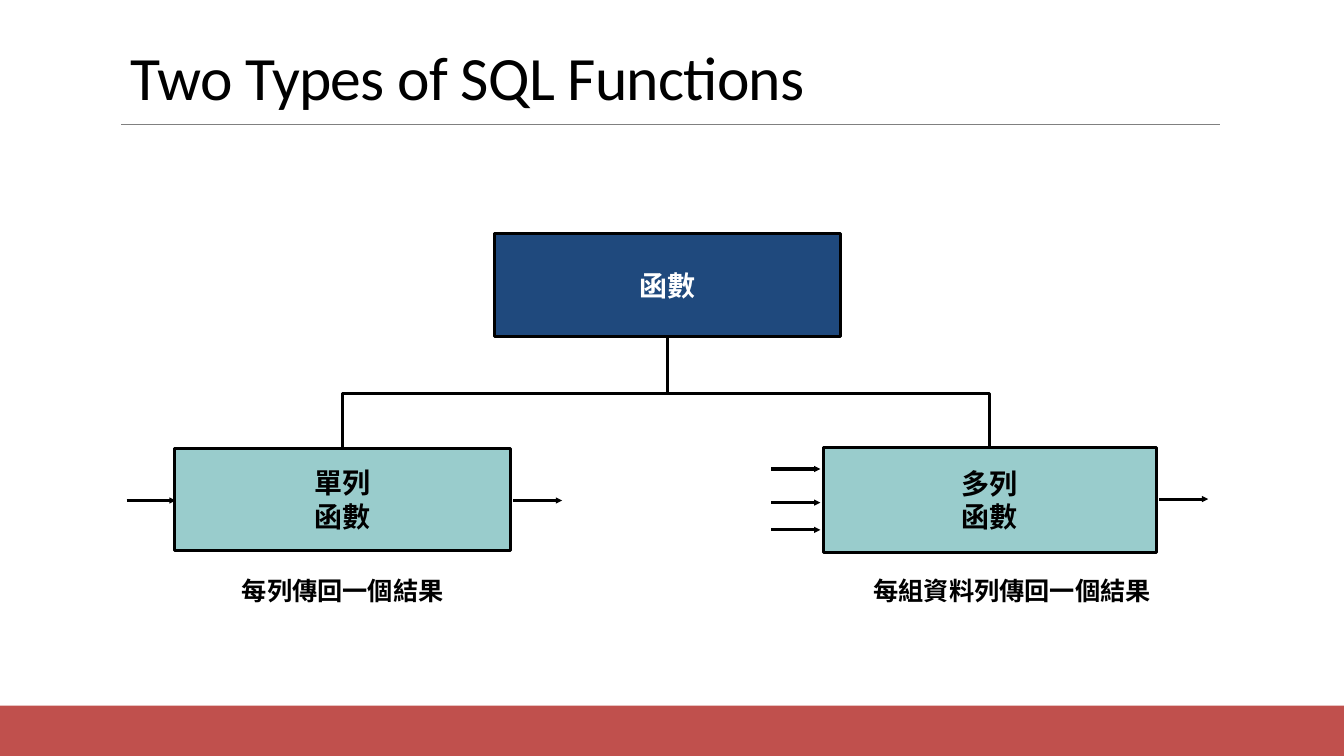
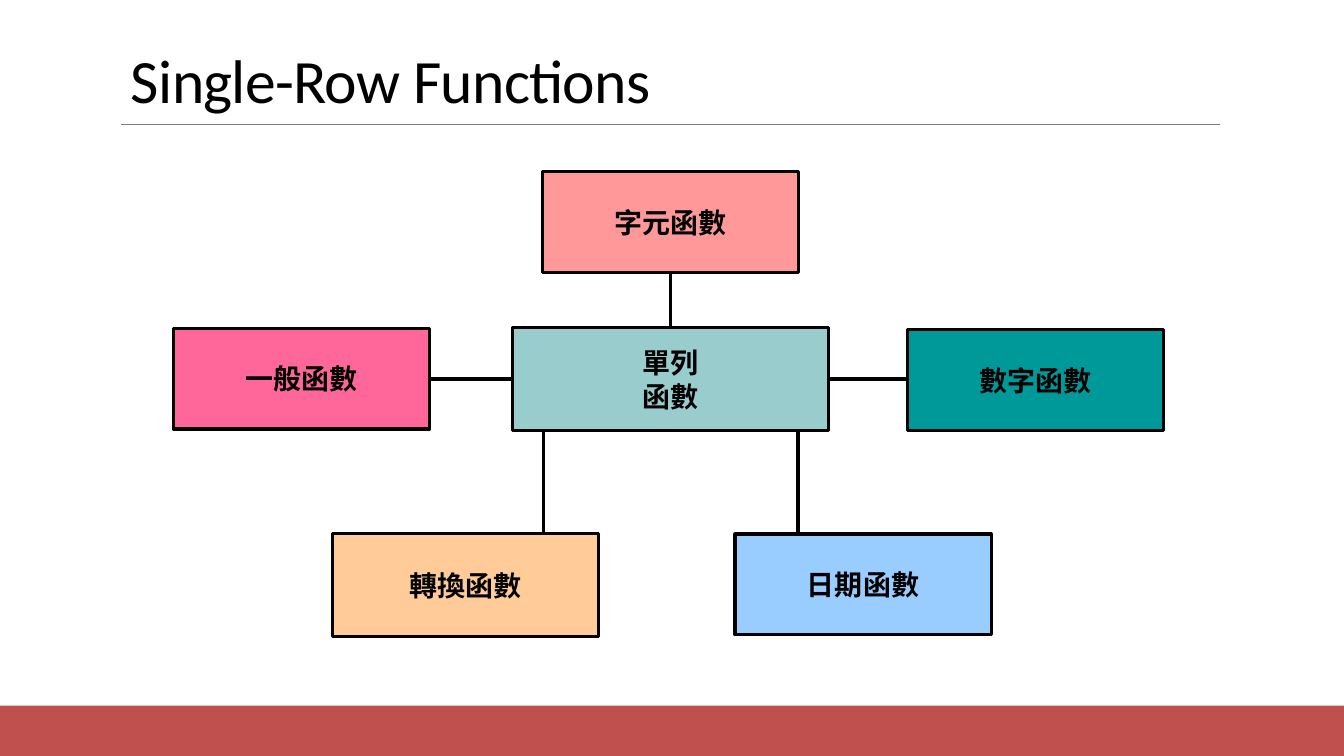
from dataclasses import dataclass
from typing import NamedTuple

from lxml.etree import SubElement
from pptx import Presentation
from pptx.dml.color import RGBColor as RGB
from pptx.enum.shapes import MSO_CONNECTOR as CONN, MSO_SHAPE as SHAPE
from pptx.enum.text import MSO_ANCHOR as ANCHOR, PP_ALIGN as ALIGN
from pptx.oxml.ns import qn
from pptx.util import Pt


@dataclass(frozen=True)
class Theme:
    latin: str = "Calibri"
    cjk: str = "Noto Sans CJK SC"
    title_size: int = 44
    node_size: int = 20
    caption_size: int = 18
    stroke: float = 2.25
    hairline: float = 0.5
    ink: str = "000000"
    white: str = "FFFFFF"
    rule: str = "808080"
    band: str = "C0504D"
    root: str = "1F497D"
    single: str = "99CCCC"
    character: str = "FF9999"
    general: str = "FF6699"
    number: str = "009999"
    conversion: str = "FFCC99"
    date: str = "99CCFF"


T = Theme()


class Box(NamedTuple):
    x: float
    y: float
    w: float
    h: float

    @property
    def right(self):
        return self.x + self.w

    @property
    def bottom(self):
        return self.y + self.h

    @property
    def cx(self):
        return self.x + self.w / 2

    @property
    def cy(self):
        return self.y + self.h / 2

    def inner(self, dx, dy, w, h):
        return Box(self.x + dx, self.y + dy, w, h)

    def lengths(self):
        return [Pt(v) for v in self]


PAGE = Box(0, 0, 960, 540)
CONTENT = Box(86, 100, 792, 380)


def write(sp, text, size, color=T.ink, font=T.cjk, bold=True,
          align=ALIGN.CENTER, anchor=ANCHOR.MIDDLE, line_spacing=None, tracking=None):
    tf = sp.text_frame
    tf.word_wrap = True
    tf.vertical_anchor = anchor
    for i, line in enumerate(text.split("\n")):
        p = tf.add_paragraph() if i else tf.paragraphs[0]
        p.text = line
        p.alignment = align
        p.line_spacing = line_spacing
        p.font.size = Pt(size)
        p.font.bold = bold
        p.font.color.rgb = RGB.from_string(color)
        p.font.name = font
        props = p._p.get_or_add_pPr().find(qn("a:defRPr"))
        SubElement(props, qn("a:ea")).set("typeface", T.cjk)
        if tracking is not None:
            props.set("spc", str(tracking))


def add_rect(s, box, fill, line=None):
    sp = s.shapes.add_shape(SHAPE.RECTANGLE, *box.lengths())
    sp.shadow.inherit = False
    sp.fill.solid()
    sp.fill.fore_color.rgb = RGB.from_string(fill)
    if line:
        sp.line.color.rgb = RGB.from_string(line)
        sp.line.width = Pt(T.stroke)
    else:
        sp.line.fill.background()
    return sp


def add_node(s, box, text, fill, color=T.ink):
    write(add_rect(s, box, fill, T.ink), text, T.node_size, color)


def add_line(s, x1, y1, x2, y2, color=T.ink, width=T.stroke, arrow=False):
    cn = s.shapes.add_connector(CONN.STRAIGHT, Pt(x1), Pt(y1), Pt(x2), Pt(y2))
    cn.line.color.rgb = RGB.from_string(color)
    cn.line.width = Pt(width)
    if arrow:
        ln = cn._element.spPr.find(qn("a:ln"))
        SubElement(ln, qn("a:tailEnd"), {"type": "triangle", "w": "sm", "len": "sm"})
    SubElement(cn._element.spPr, qn("a:effectLst"))


def add_bracket(s, left, right, top, bottom):
    fb = s.shapes.build_freeform(Pt(left), Pt(bottom))
    fb.add_line_segments([(Pt(left), Pt(top)), (Pt(right), Pt(top)),
                          (Pt(right), Pt(bottom))], close=False)
    sp = fb.convert_to_shape()
    sp.shadow.inherit = False
    sp.fill.background()
    sp.line.color.rgb = RGB.from_string(T.ink)
    sp.line.width = Pt(T.stroke)


def add_frame(prs, title, title_box):
    s = prs.slides.add_slide(prs.slide_layouts[6])
    add_rect(s, PAGE.inner(0, 504, PAGE.w, 36), T.band)
    add_line(s, 86.5, 88.5, 871.5, 88.5, T.rule, T.hairline)
    tb = s.shapes.add_textbox(*title_box.lengths())
    write(tb, title, T.title_size, font=T.latin, bold=False, align=ALIGN.LEFT,
          anchor=ANCHOR.BOTTOM, line_spacing=0.85, tracking=-50)
    return s


def add_function_type(s, box, name, caption, caption_box, inputs, gap):
    reach = 35
    add_node(s, box, name, T.single)
    for dy in inputs:
        y = box.y + dy
        add_line(s, box.x - gap - reach, y, box.x - gap, y, arrow=True)
    y = box.y + 37
    add_line(s, box.right + 2, y, box.right + 2 + reach, y, arrow=True)
    tb = s.shapes.add_textbox(*caption_box.lengths())
    write(tb, caption, T.caption_size)


def add_type_tree(s, area):
    root = area.inner(267.5, 67, 247, 73.5)
    single = area.inner(38.5, 220.5, 240, 72.5)
    multi = area.inner(502, 219.5, 238, 75)
    bus = area.y + 181
    add_line(s, root.cx, bus, root.cx, root.bottom)
    add_bracket(s, single.cx, multi.cx, bus, multi.y)
    add_function_type(s, single, "單列\n函數", "每列傳回一個結果",
                      area.inner(-4, 302.5, 325.5, 38), [37], -1)
    add_function_type(s, multi, "多列\n函數", "每組資料列傳回一個結果",
                      area.inner(439, 302.5, 396, 38), [15.5, 39.5, 59], 2)
    add_node(s, root, "函數", T.root, T.white)


def add_function_map(s, area):
    hub = area.inner(280, 134, 226, 73.5)
    character = area.inner(301.5, 22.5, 183, 72)
    general = area.inner(38, 134.5, 183, 72)
    number = area.inner(562, 135.5, 183, 72)
    conversion = area.inner(151.5, 281, 190, 73.5)
    date = area.inner(439, 281.5, 183, 72)

    add_line(s, hub.cx, hub.y, hub.cx, character.bottom)
    add_line(s, general.right, hub.cy, hub.x, hub.cy)
    add_line(s, hub.right, hub.cy, number.x, hub.cy)
    for x, node in ((hub.x + 22, conversion), (hub.right - 22, date)):
        add_line(s, x, hub.bottom, x, node.y)

    for box, text, fill in (
        (conversion, "轉換函數", T.conversion),
        (character, "字元函數", T.character),
        (number, "數字函數", T.number),
        (date, "日期函數", T.date),
        (general, "一般函數", T.general),
        (hub, "單列\n函數", T.single),
    ):
        add_node(s, box, text, fill)


def main():
    prs = Presentation()
    prs.slide_width, prs.slide_height = Pt(PAGE.w), Pt(PAGE.h)
    for title, height, diagram in (
        ("Two Types of SQL Functions", 62, add_type_tree),
        ("Single-Row Functions", 64, add_function_map),
    ):
        s = add_frame(prs, title, Box(86.5, 22.5, 792, height))
        diagram(s, CONTENT)
    prs.save("out.pptx")


if __name__ == "__main__":
    main()
